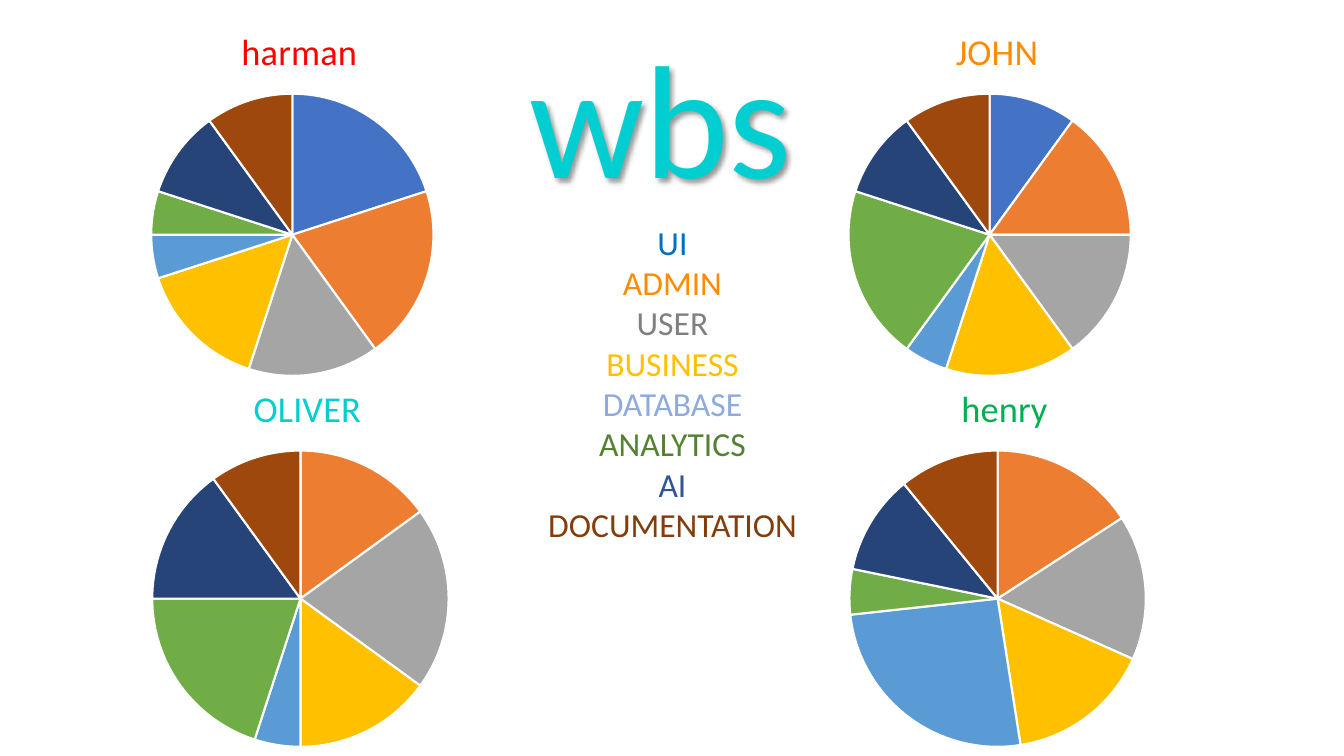
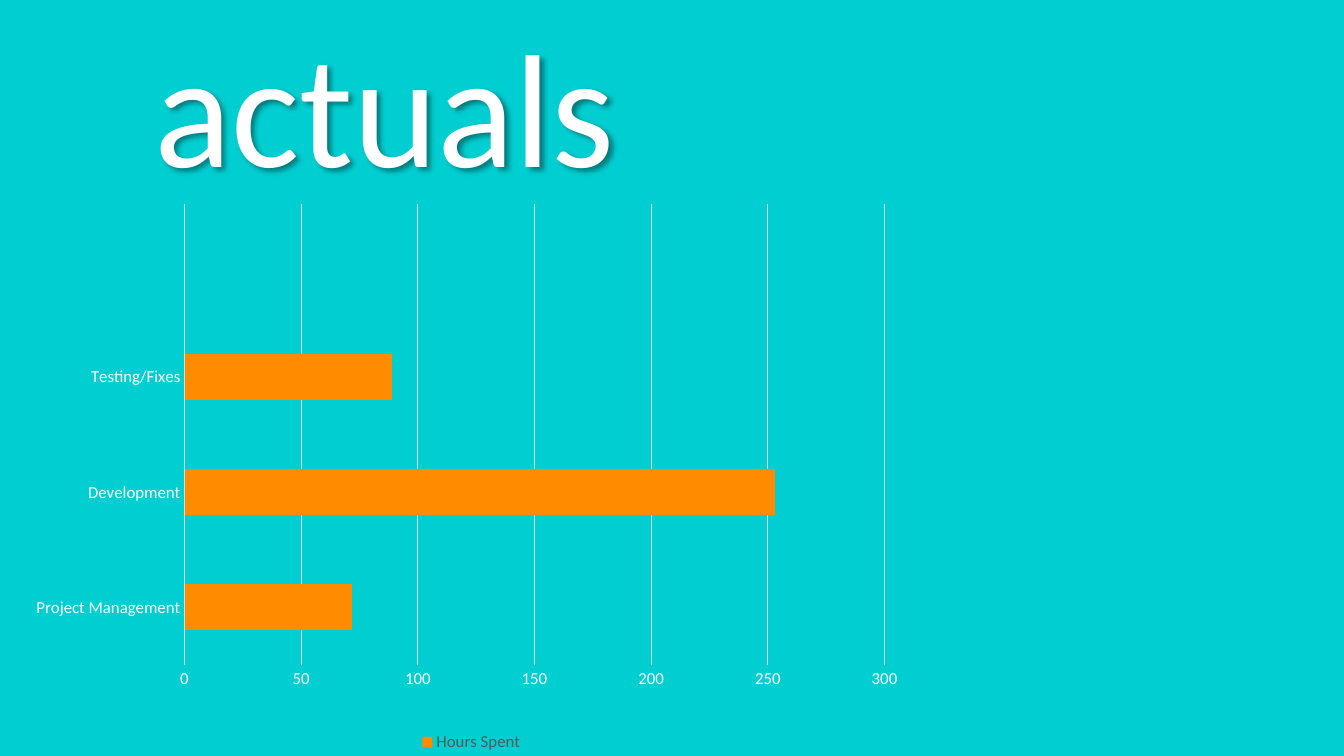
from lxml import etree
from pptx import Presentation
from pptx.chart.data import CategoryChartData
from pptx.dml.color import RGBColor
from pptx.enum.chart import XL_CHART_TYPE, XL_LEGEND_POSITION, XL_TICK_MARK
from pptx.enum.text import MSO_ANCHOR, MSO_AUTO_SIZE, PP_ALIGN
from pptx.oxml import parse_xml
from pptx.oxml.ns import nsdecls, qn
from pptx.util import Inches, Pt

PIE, BAR = XL_CHART_TYPE.PIE, XL_CHART_TYPE.BAR_CLUSTERED
BOTTOM, NO_TICK = XL_LEGEND_POSITION.BOTTOM, XL_TICK_MARK.NONE
CENTER, MIDDLE, NO_FIT = PP_ALIGN.CENTER, MSO_ANCHOR.MIDDLE, MSO_AUTO_SIZE.NONE

FONT = "Calibri"
TEAL, ORANGE, WHITE = "00CED1", "FF8C00", "FFFFFF"
TITLE_ONLY = 5

SLICE_COLORS = ["4472C4", "ED7D31", "A5A5A5", "FFC000",
                "5B9BD5", "70AD47", "264478", "9E480E"]
TASKS = [("UI", "0070C0"), ("ADMIN", ORANGE), ("USER", "808080"),
         ("BUSINESS", "FFC000"), ("DATABASE", "8FAADC"),
         ("ANALYTICS", "548235"), ("AI", "2F5597"), ("DOCUMENTATION", "843C0B")]

# row: top, height, pie centre from chart top, pie radius
TOP_ROW = (0, 3.86, 2.33, 1.4)
BOTTOM_ROW = (3.54, 4.01, 2.4, 1.47)
# name, colour, name width, row, left, width, shares
PEOPLE = [
    ("OLIVER", TEAL, 1.06, BOTTOM_ROW, -0.71, 7.38, (0, 15, 20, 15, 5, 20, 15, 10)),
    ("JOHN", ORANGE, 0.8, TOP_ROW, 6.34, 6.95, (10, 15, 15, 15, 5, 20, 10, 10)),
    ("harman", "FF0000", 1.14, TOP_ROW, -0.27, 6.34, (20, 20, 15, 15, 5, 5, 10, 10)),
    ("henry", "00B050", 0.85, BOTTOM_ROW, 6.34, 7.11, (0, 16, 16, 16, 26, 5, 11, 11)),
]
NAME_TOP = 0.2

HOURS = [("Project Management", 72), ("Development", 253),
         ("Testing/Fixes", 89), ("", None)]


def rgb(color):
    return RGBColor.from_string(color)


def style(font, size, color):
    for key, value in {"name": FONT, "size": Pt(size), "bold": False}.items():
        setattr(font, key, value)
    font.color.rgb = rgb(color)


def layout_xml(x, y, w=None, h=None):
    """Manual chart layout in fractions of the chart frame."""
    parts = [("xMode", "edge"), ("yMode", "edge"), ("x", x), ("y", y)]
    if w is not None:
        parts = [("layoutTarget", "inner")] + parts + [("w", w), ("h", h)]
    layout = parse_xml(f"<c:layout {nsdecls('c')}><c:manualLayout/></c:layout>")
    for tag, value in parts:
        text = value if isinstance(value, str) else f"{value:.4f}"
        etree.SubElement(layout[0], qn(f"c:{tag}")).set("val", text)
    return layout


def place_plot(chart, *fractions):
    area = chart._chartSpace.chart.plotArea
    for old in area.findall(qn("c:layout")):
        area.remove(old)
    area.insert(0, layout_xml(*fractions))


def add_title(slide, text, color, box):
    sp = slide.shapes.title
    sp.left, sp.top, sp.width, sp.height = map(Inches, box)
    tf = sp.text_frame
    for key, value in {"text": text, "word_wrap": True, "auto_size": NO_FIT,
                       "vertical_anchor": MIDDLE}.items():
        setattr(tf, key, value)
    p = tf.paragraphs[0]
    p.alignment = CENTER
    style(p.runs[0].font, 115, color)
    sp._element.spPr.append(parse_xml(
        f'<a:effectLst {nsdecls("a")}><a:outerShdw blurRad="50800" dist="38100" '
        'dir="2700000" algn="tl" rotWithShape="0"><a:srgbClr val="000000">'
        '<a:alpha val="40000"/></a:srgbClr></a:outerShdw></a:effectLst>'))


def add_chart(slide, kind, box, series_name, categories, values):
    data = CategoryChartData()
    data.categories = categories
    data.add_series(series_name, values)
    chart = slide.shapes.add_chart(kind, *map(Inches, box), data).chart
    style(chart.font, 10, "000000")
    chart._chartSpace.chart.addnext(parse_xml(
        f"<c:spPr {nsdecls('c', 'a')}><a:noFill/><a:ln><a:noFill/></a:ln></c:spPr>"))
    return chart


def add_pie(slide, name, color, name_width, row, left, width, shares):
    top, height, center, radius = row
    chart = add_chart(slide, PIE, (left, top, width, height), "Series 1",
                      [str(i + 1) for i in range(len(shares))], shares)
    chart.has_legend = False
    chart.has_title = True
    tf = chart.chart_title.text_frame
    tf.text = name
    style(tf.paragraphs[0].runs[0].font, 26, color)
    title = chart.chart_title._element
    for old in title.findall(qn("c:layout")):
        title.remove(old)
    title.find(qn("c:tx")).addnext(
        layout_xml(0.5 - name_width / 2 / width, NAME_TOP / height))
    place_plot(chart, 0.5 - radius / width, (center - radius) / height,
               2 * radius / width, 2 * radius / height)
    plot = chart.plots[0]
    plot.vary_by_categories = True
    for i, slice_color in enumerate(SLICE_COLORS):
        fmt = plot.series[0].points[i].format
        fmt.fill.solid()
        fmt.fill.fore_color.rgb = rgb(slice_color)
        fmt.line.color.rgb = rgb(WHITE)
        fmt.line.width = Pt(1.5)


def add_task_list(slide):
    tf = slide.shapes.add_textbox(*map(Inches, (5.18, 2.15, 2.98, 3.33))).text_frame
    tf.word_wrap = True
    for i, (task, color) in enumerate(TASKS):
        p = tf.add_paragraph() if i else tf.paragraphs[0]
        p.alignment = CENTER
        r = p.add_run()
        r.text = task
        style(r.font, 24, color)


def add_hours_chart(slide):
    chart = add_chart(slide, BAR, (0.23, 1.57, 8.89, 5.93), "Hours Spent", *zip(*HOURS))
    chart.has_title = False
    place_plot(chart, 0.18, 0.077, 0.781, 0.771)
    plot = chart.plots[0]
    plot.gap_width = 150
    plot.vary_by_categories = False
    fill = plot.series[0].format.fill
    fill.solid()
    fill.fore_color.rgb = rgb(ORANGE)
    for axis in (chart.category_axis, chart.value_axis):
        axis.major_tick_mark = axis.minor_tick_mark = NO_TICK
        axis.format.line.fill.background()
        style(axis.tick_labels.font, 12, WHITE)
    axis = chart.value_axis
    for key, value in {"minimum_scale": 0, "maximum_scale": 300, "major_unit": 50,
                       "has_major_gridlines": True}.items():
        setattr(axis, key, value)
    line = axis.major_gridlines.format.line
    line.color.rgb = rgb("D9D9D9")
    line.width = Pt(0.75)
    chart.has_legend = True
    chart.legend.position = BOTTOM
    chart.legend.include_in_layout = False
    style(chart.legend.font, 12, "595959")


def main():
    prs = Presentation()
    prs.slide_width, prs.slide_height = Inches(13.33), Inches(7.5)
    layout = prs.slide_layouts[TITLE_ONLY]

    slide = prs.slides.add_slide(layout)
    add_title(slide, "wbs", TEAL, (2.9, 0.11, 7.3, 2.04))
    for person in PEOPLE:
        add_pie(slide, *person)
    add_task_list(slide)

    slide = prs.slides.add_slide(layout)
    slide.background.fill.solid()
    slide.background.fill.fore_color.rgb = rgb(TEAL)
    add_title(slide, "actuals", WHITE, (0, 0, 7.63, 2.04))
    add_hours_chart(slide)

    prs.save("out.pptx")


if __name__ == "__main__":
    main()
